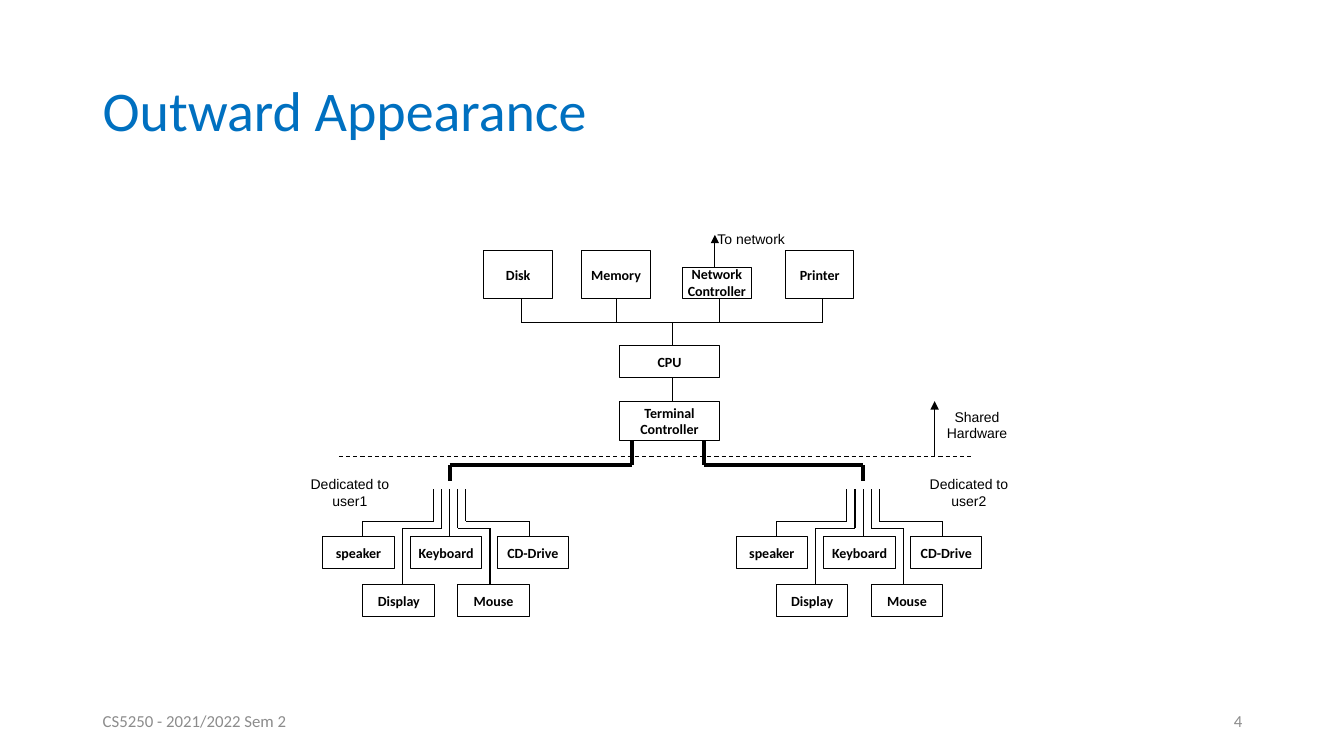
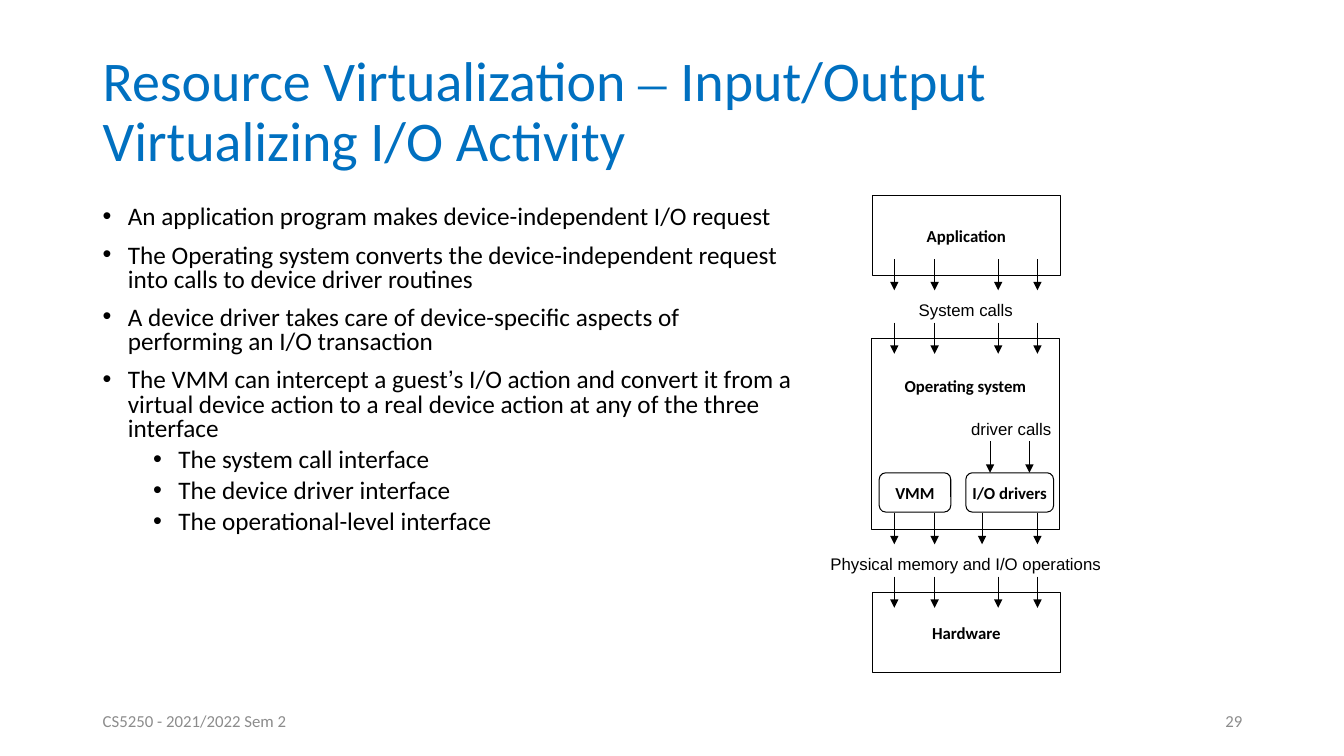
from dataclasses import dataclass
from itertools import pairwise

from lxml.etree import SubElement
from pptx import Presentation
from pptx.dml.color import RGBColor
from pptx.enum.dml import MSO_LINE
from pptx.enum.shapes import MSO_CONNECTOR, MSO_SHAPE
from pptx.enum.text import MSO_ANCHOR, PP_ALIGN
from pptx.oxml.ns import qn
from pptx.util import Inches, Pt

BLACK = RGBColor(0x00, 0x00, 0x00)
TITLE_BLUE = RGBColor(0x00, 0x70, 0xC0)
FOOTER_GRAY = RGBColor(0x8C, 0x8C, 0x8C)
BODY_FONT, LABEL_FONT = "Calibri", "Arial"
FOOTER = "CS5250 - 2021/2022 Sem 2"
MARGIN = 0.92

Point = tuple[float, float]


@dataclass(frozen=True)
class Area:
    left: float
    top: float
    width: float
    height: float

    def inches(self) -> list:
        return [Inches(v) for v in (self.left, self.top, self.width, self.height)]

    def shifted(self, dx: float) -> "Area":
        return Area(self.left + dx, self.top, self.width, self.height)


@dataclass(frozen=True)
class Style:
    size: float
    font: str = BODY_FONT
    color: RGBColor = BLACK
    bold: bool = False
    align: PP_ALIGN = PP_ALIGN.LEFT


@dataclass(frozen=True)
class Span:
    text: str
    font: str | None = None


@dataclass(frozen=True)
class Bullet:
    spans: list[Span]
    level: int = 0


@dataclass(frozen=True)
class Device:
    name: str
    area: Area
    cable: list[Point]


TITLE = Style(40, color=TITLE_BLUE)
FOOT_LEFT = Style(12, color=FOOTER_GRAY)
FOOT_RIGHT = Style(12, color=FOOTER_GRAY, align=PP_ALIGN.RIGHT)
BODY = Style(18)


def box_style(size: float) -> Style:
    return Style(size, bold=True, align=PP_ALIGN.CENTER)


def label_style(size: float) -> Style:
    return Style(size, LABEL_FONT, align=PP_ALIGN.CENTER)


def style_para(para, style: Style) -> None:
    para.alignment = style.align
    para.font.size = Pt(style.size)
    para.font.name = style.font
    para.font.bold = style.bold
    para.font.color.rgb = style.color


def add_spans(para, spans: list[Span]) -> None:
    for span in spans:
        for index, line in enumerate(span.text.split("\n")):
            if index:
                para.add_line_break()
            run = para.add_run()
            run.text = line
            if span.font:
                run.font.name = span.font


def write_lines(frame, text: str, style: Style, wrap: bool = False) -> None:
    """Write each line of the text as a paragraph, centred vertically."""
    frame.word_wrap = wrap
    frame.vertical_anchor = MSO_ANCHOR.MIDDLE
    for index, line in enumerate(text.split("\n")):
        para = frame.add_paragraph() if index else frame.paragraphs[0]
        style_para(para, style)
        add_spans(para, [Span(line)])


def add_text(page, area: Area, text: str, style: Style, wrap: bool = False) -> None:
    write_lines(page.shapes.add_textbox(*area.inches()).text_frame, text, style, wrap)


def add_box(page, area: Area, text: str, size: float, kind=MSO_SHAPE.RECTANGLE) -> None:
    box = page.shapes.add_shape(kind, *area.inches())
    box.shadow.inherit = False
    box.fill.background()
    box.line.color.rgb = BLACK
    box.line.width = Pt(0.75)
    if text:
        write_lines(box.text_frame, text, box_style(size))


def add_wire(page, points: list[Point], weight: float = 0.75,
             dashed: bool = False, arrow: bool = False) -> None:
    """Join the points with straight lines."""
    for start, end in pairwise(points):
        wire = page.shapes.add_connector(
            MSO_CONNECTOR.STRAIGHT, *[Inches(v) for v in (*start, *end)])
        wire.line.color.rgb = BLACK
        wire.line.width = Pt(weight)
        if dashed:
            wire.line.dash_style = MSO_LINE.DASH
        if arrow:
            SubElement(wire.line._get_or_add_ln(), qn("a:tailEnd"), type="triangle")
        SubElement(wire._element.spPr, qn("a:effectLst"))


def add_down_arrows(page, columns: list[float], top: float) -> None:
    for x in columns:
        add_wire(page, [(x, top), (x, top + 0.31)], arrow=True)


def add_bullets(page, area: Area, bullets: list[Bullet]) -> None:
    frame = page.shapes.add_textbox(*area.inches()).text_frame
    frame.word_wrap = True
    for index, bullet in enumerate(bullets):
        para = frame.add_paragraph() if index else frame.paragraphs[0]
        style_para(para, BODY)
        para.level = bullet.level
        para.line_spacing = 0.8
        para.space_before = Pt(5 if bullet.level else 10)
        props = para._p.get_or_add_pPr()
        props.set("marL", str(Inches(0.25 + 0.5 * bullet.level)))
        props.set("indent", str(Inches(-0.25)))
        mark = SubElement(props, qn("a:buChar"), char="•")
        font = SubElement(props, qn("a:buFont"), typeface=LABEL_FONT)
        defaults = props.find(qn("a:defRPr"))
        defaults.addprevious(font)
        defaults.addprevious(mark)
        add_spans(para, bullet.spans)


def add_page(deck, title: list[Span], number: int):
    page = deck.slides.add_slide(deck.slide_layouts[6])
    frame = page.shapes.add_textbox(*Area(MARGIN, 0.4, 11.5, 1.45).inches()).text_frame
    frame.word_wrap = True
    frame.vertical_anchor = MSO_ANCHOR.MIDDLE
    style_para(frame.paragraphs[0], TITLE)
    frame.paragraphs[0].line_spacing = 0.9
    add_spans(frame.paragraphs[0], title)
    add_text(page, Area(MARGIN, 6.95, 3, 0.4), FOOTER, FOOT_LEFT, wrap=True)
    add_text(page, Area(9.42, 6.95, 3, 0.4), str(number), FOOT_RIGHT, wrap=True)
    return page


def device(name: str, left: float, top: float, cable: list[Point]) -> Device:
    return Device(name, Area(left, top, 0.71, 0.32), cable)


USER_DEVICES = [
    device("speaker", 3.2, 5.32, [(3.6, 5.32), (3.6, 5.17), (4.3, 5.17), (4.3, 4.85)]),
    device("Keyboard", 4.07, 5.32, [(4.46, 5.32), (4.46, 4.85)]),
    device("CD-Drive", 4.93, 5.32, [(5.25, 5.32), (5.25, 5.17), (4.62, 5.17), (4.62, 4.85)]),
    device("Display", 3.6, 5.8, [(3.99, 5.8), (3.99, 5.24), (4.38, 5.24), (4.38, 4.85)]),
    device("Mouse", 4.54, 5.8, [(4.86, 5.8), (4.86, 5.24), (4.54, 5.24), (4.54, 4.85)]),
]


def add_user_devices(page, dx: float) -> None:
    for item in USER_DEVICES:
        add_box(page, item.area.shifted(dx), item.name, 10)
        add_wire(page, [(x + dx, y) for x, y in item.cable])


def build_appearance(deck) -> None:
    page = add_page(deck, [Span("Outward Appearance")], 4)
    bus_y = 3.2
    for name, left, top, stem in [
        ("Disk", 4.8, 2.49, 5.17),
        ("Memory", 5.77, 2.49, 6.11),
        ("Network\nController", 6.77, 2.65, 7.14),
        ("Printer", 7.79, 2.49, 8.16),
    ]:
        add_box(page, Area(left, top, 0.68, 2.96 - top), name, 10)
        add_wire(page, [(stem, 2.96), (stem, bus_y)])
    add_wire(page, [(5.17, bus_y), (8.16, bus_y)])
    add_box(page, Area(6.14, 3.43, 1, 0.32), "CPU", 10)
    add_box(page, Area(6.14, 3.98, 1, 0.39), "Terminal\nController", 10)
    for top in (bus_y, 3.75):
        add_wire(page, [(6.67, top), (6.67, top + 0.23)])

    add_wire(page, [(3.36, 4.53), (9.66, 4.53)], dashed=True)
    for x, bottom, top in [(7.09, 2.65, 2.33), (9.27, 4.53, 3.98)]:
        add_wire(page, [(x, bottom), (x, top)], arrow=True)
    for text, left, top, height in [
        ("To network", 6.95, 2.25, 0.24),
        ("Shared\nHardware", 9.19, 4.02, 0.39),
        ("Dedicated to\nuser1", 2.97, 4.69, 0.39),
        ("Dedicated to\nuser2", 9.11, 4.69, 0.39),
    ]:
        add_text(page, Area(left, top, 1, height), text, label_style(10))

    for dx, port in [(0, 6.27), (4.1, 6.98)]:
        add_user_devices(page, dx)
        hub = 4.46 + dx
        add_wire(page, [(hub, 4.77), (hub, 4.61), (port, 4.61), (port, 4.38)], weight=3)


def build_virtualization(deck) -> None:
    page = add_page(deck, [
        Span("Resource Virtualization "),
        Span("– ", "Times New Roman"),
        Span("Input/Output\nVirtualizing I/O Activity"),
    ], 29)
    add_bullets(page, Area(MARGIN, 2, 7.08, 4.76), [
        Bullet([Span("An application program makes device-independent I/O request")]),
        Bullet([Span("The Operating system converts the device-independent request "
                     "into calls to device driver routines")]),
        Bullet([Span("A device driver takes care of device-specific aspects of "
                     "performing an I/O transaction")]),
        Bullet([Span("The VMM can intercept a guest"), Span("’", LABEL_FONT),
                Span("s I/O action and convert it from a virtual device action to a "
                     "real device action at any of the three interface")]),
        Bullet([Span("The system call interface")], 1),
        Bullet([Span("The device driver interface")], 1),
        Bullet([Span("The operational-level interface")], 1),
    ])

    add_box(page, Area(8.65, 1.94, 1.87, 0.79), "Application", 12)
    add_box(page, Area(8.64, 3.36, 1.87, 1.89), "", 12)
    add_box(page, Area(8.65, 5.88, 1.87, 0.79), "Hardware", 12)
    add_text(page, Area(8.83, 3.67, 1.49, 0.32), "Operating system", box_style(12))
    for name, left, width in [("VMM", 8.72, 0.71), ("I/O drivers", 9.58, 0.87)]:
        add_box(page, Area(left, 4.69, width, 0.39), name, 12, MSO_SHAPE.ROUNDED_RECTANGLE)

    for top in (2.57, 3.2, 5.72):
        add_down_arrows(page, [8.87, 9.27, 9.9, 10.29], top)
    add_down_arrows(page, [8.87, 9.27, 9.74, 10.29], 5.09)
    add_down_arrows(page, [9.82, 10.21], 4.38)
    for text, center, top, width in [
        ("System calls", 9.58, 2.88, 1.4),
        ("Physical memory and I/O operations", 9.58, 5.4, 3.2),
        ("driver calls", 10.03, 4.06, 1.2),
    ]:
        add_text(page, Area(center - width / 2, top, width, 0.39), text, label_style(12))


def main() -> None:
    deck = Presentation()
    deck.slide_width, deck.slide_height = Inches(13.33), Inches(7.5)
    build_appearance(deck)
    build_virtualization(deck)
    deck.save("out.pptx")


if __name__ == "__main__":
    main()
